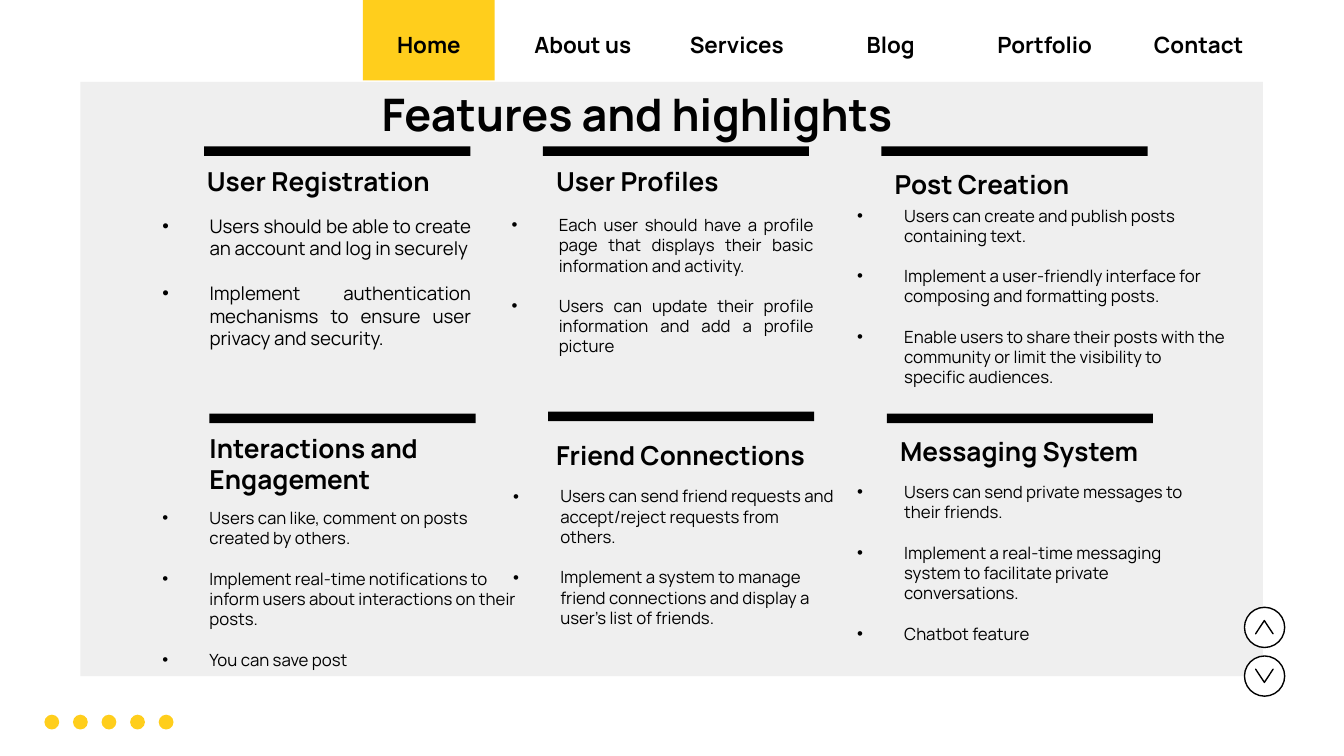
from itertools import chain, repeat

from lxml.etree import SubElement
from pptx import Presentation
from pptx.dml.color import RGBColor
from pptx.enum.shapes import MSO_SHAPE
from pptx.enum.text import MSO_ANCHOR, MSO_AUTO_SIZE, PP_ALIGN
from pptx.oxml.ns import qn
from pptx.util import Cm, Pt

BLACK = RGBColor(0x00, 0x00, 0x00)
WHITE = RGBColor(0xFF, 0xFF, 0xFF)
GREY = RGBColor(0xEF, 0xEF, 0xEF)
YELLOW = RGBColor(0xFF, 0xCE, 0x1C)
FONT = "Manrope"

NAVIGATION = ["Home", "About us", "Services", "Blog", "Portfolio", "Contact"]
NAV_LEFT, NAV_STEP, NAV_WIDTH = 6.86, 2.91, 2.49

# Left and top of the bars above the features, row by row
BARS = [(3.86, 2.77), (10.26, 2.77), (16.66, 2.77),
        (3.96, 7.82), (10.36, 7.78), (16.76, 7.82)]

# Heading, its place, list place, text size, alignment, list items
FEATURES = [
    ("User Registration", (3.66, 2.95, 6.5, 1.02), (2.44, 3.81, 6.71, 2.44),
     10, PP_ALIGN.JUSTIFY,
     ["Users should be able to create an account and log in securely",
      "Implement authentication mechanisms to ensure user privacy and security."]),
    ("User Profiles", (10.26, 2.62, 5.03, 1.35), (9.04, 3.81, 6.58, 2.44),
     9, PP_ALIGN.JUSTIFY,
     ["Each user should have a profile page that displays their basic "
      "information and activity.",
      "Users can update their profile information and add a profile picture"]),
    ("Post Creation", (16.66, 2.67, 6.05, 1.35), (15.57, 3.63, 7.82, 2.29),
     9, PP_ALIGN.LEFT,
     ["Users can create and publish posts containing text.",
      "Implement a user-friendly interface for composing and formatting posts.",
      "Enable users to share their posts with the community or limit the "
      "visibility to specific audiences."]),
    ("Interactions and \vEngagement", (3.71, 8.26, 8.28, 1.35),
     (2.44, 9.35, 7.62, 2.82), 9, PP_ALIGN.LEFT,
     ["Users can like, comment on posts created by others.",
      "Implement real-time notifications to inform users about interactions "
      "on their posts.",
      "You can save post"]),
    ("Friend Connections", (10.26, 7.8, 6.3, 1.35), (9.07, 8.94, 6.93, 3.84),
     9, PP_ALIGN.LEFT,
     ["Users can send friend requests and accept/reject requests from others.",
      "Implement a system to manage friend connections and display a user's "
      "list of friends."]),
    ("Messaging System", (16.76, 7.72, 5.97, 1.35), (15.57, 8.86, 7.37, 3.78),
     9, PP_ALIGN.LEFT,
     ["Users can send private messages to their friends.",
      "Implement a real-time messaging system to facilitate private "
      "conversations.",
      "Chatbot feature"]),
]


def add_figure(page, kind, place, fill, line=None):
    figure = page.shapes.add_shape(kind, *map(Cm, place))
    figure.shadow.inherit = False
    figure.fill.solid()
    figure.fill.fore_color.rgb = fill
    if line is None:
        figure.line.fill.background()
    else:
        figure.line.color.rgb = line
        figure.line.width = Pt(0.75)
    return figure


def write(page, place, lines, size, box=None, bold=False,
          align=PP_ALIGN.LEFT, anchor=MSO_ANCHOR.TOP):
    """Fill a placeholder, or a new text box, with one paragraph per line."""
    if box is None:
        box = page.shapes.add_textbox(*map(Cm, place))
    box.left, box.top, box.width, box.height = map(Cm, place)
    frame = box.text_frame
    frame.text = "\n".join(lines)
    frame.word_wrap = True
    frame.auto_size = MSO_AUTO_SIZE.NONE
    frame.vertical_anchor = anchor
    frame.margin_left = frame.margin_right = Cm(0.25)
    frame.margin_top = frame.margin_bottom = Cm(0.25)
    for paragraph in frame.paragraphs:
        paragraph.alignment = align
        paragraph.space_before = Pt(0)
        for span in paragraph.runs:
            span.font.name = FONT
            span.font.size = Pt(size)
            span.font.bold = bold
            span.font.color.rgb = BLACK
    return box


def add_list(page, place, items, size, align, box):
    box = write(page, place, items, size, box, align=align)
    for number, paragraph in enumerate(box.text_frame.paragraphs):
        if number:
            paragraph.space_before = Pt(size * 1.21)  # one line of air
        properties = paragraph._p.get_or_add_pPr()
        properties.set("marL", str(Cm(1.27)))
        properties.set("indent", str(-Cm(0.89)))
        SubElement(properties, qn("a:buFont"), typeface="Arial")
        SubElement(properties, qn("a:buChar"), char="•")


def add_navigation(page):
    add_figure(page, MSO_SHAPE.RECTANGLE, (NAV_LEFT, 0, NAV_WIDTH, 1.52), YELLOW)
    for number, label in enumerate(NAVIGATION):
        place = (NAV_LEFT + number * NAV_STEP, 0.58, NAV_WIDTH, 0.53)
        write(page, place, [label], 12, bold=True, align=PP_ALIGN.CENTER,
              anchor=MSO_ANCHOR.MIDDLE)


def add_scroll_button(page, top, rotation):
    button = add_figure(page, MSO_SHAPE.ROUNDED_RECTANGLE,
                        (23.52, top, 0.76, 0.76), WHITE, BLACK)
    button.adjustments[0] = 0.5
    arrow = add_figure(page, MSO_SHAPE.CHEVRON,
                       (23.77, top + 0.21, 0.25, 0.33), BLACK, BLACK)
    arrow.adjustments[0] = 1
    arrow.rotation = rotation


def main():
    deck = Presentation()
    deck.slide_width, deck.slide_height = Cm(25.4), Cm(14.29)
    page = deck.slides.add_slide(deck.slide_layouts[4])
    title, head_1, list_1, head_2, list_2 = page.placeholders

    # Background panel, behind the placeholders
    panel = add_figure(page, MSO_SHAPE.RECTANGLE, (1.52, 1.55, 22.35, 11.23), GREY)
    panel.element.getparent().insert(2, panel.element)

    # Yellow dots
    for number in range(5):
        add_figure(page, MSO_SHAPE.OVAL,
                   (0.84 + number * 0.54, 13.51, 0.28, 0.28), YELLOW)

    add_navigation(page)
    write(page, (6.96, 1.91, 13.87, 0.46), ["Features and highlights"], 24,
          title, bold=True, anchor=MSO_ANCHOR.MIDDLE)

    # Features: the first two use the placeholders, the rest text boxes
    for left, top in BARS:
        add_figure(page, MSO_SHAPE.RECTANGLE, (left, top, 5.03, 0.18), BLACK)
    holders = chain([(head_1, list_1), (head_2, list_2)], repeat((None, None)))
    for feature, (head_box, list_box) in zip(FEATURES, holders):
        heading, head_place, list_place, size, align, items = feature
        write(page, head_place, [heading], 14, head_box, bold=True,
              anchor=MSO_ANCHOR.BOTTOM)
        add_list(page, list_place, items, size, align, list_box)

    # Scroll buttons: up, down
    add_scroll_button(page, 11.48, 270)
    add_scroll_button(page, 12.4, 90)

    deck.save("out.pptx")


if __name__ == "__main__":
    main()
